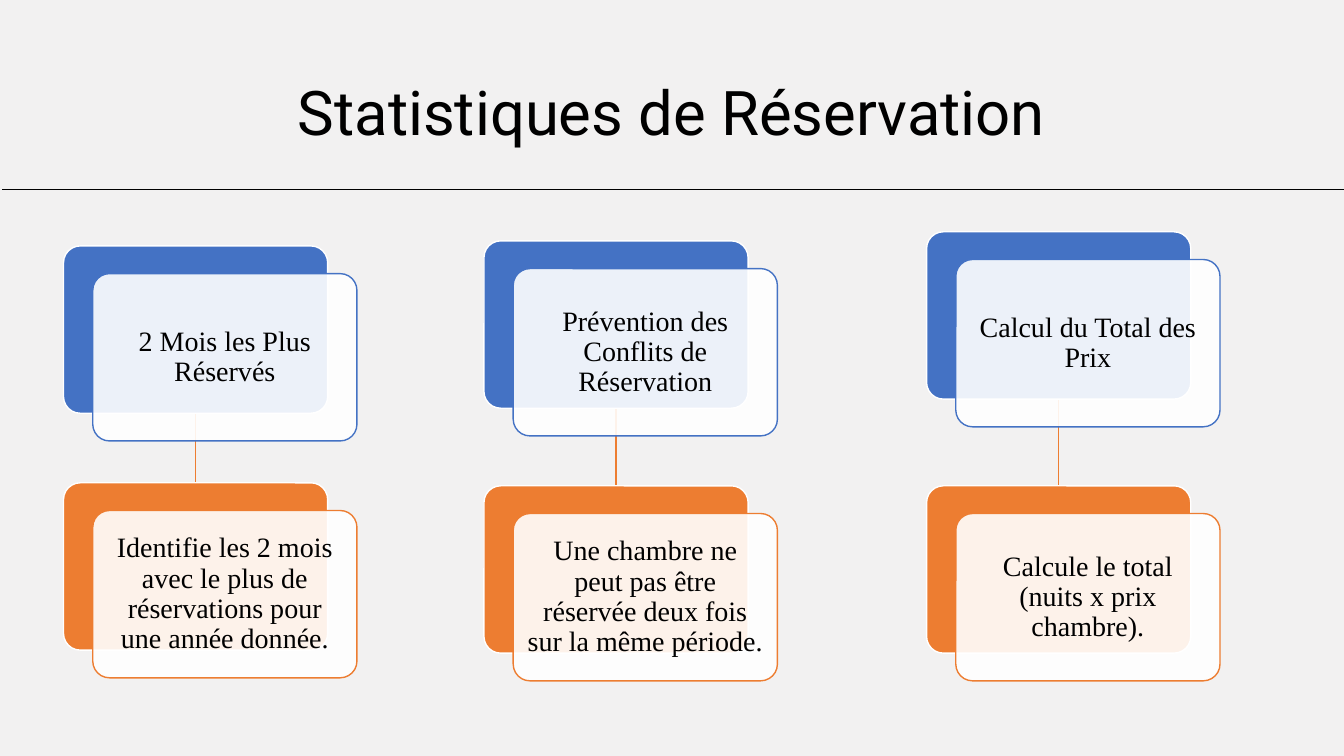
from dataclasses import dataclass

from lxml.etree import SubElement
from pptx import Presentation
from pptx.dml.color import RGBColor
from pptx.enum.shapes import MSO_CONNECTOR, MSO_SHAPE
from pptx.enum.text import MSO_ANCHOR, PP_ALIGN
from pptx.oxml.ns import qn
from pptx.util import Inches, Pt

COLORS = {
    "background": "F2F1F1",
    "black": "000000",
    "white": "FFFFFF",
    "blue": "4472C4",
    "orange": "ED7D31",
}
CARD_W, CARD_H = 2.62, 1.66
OFFSET_X, OFFSET_Y = 0.29, 0.275


@dataclass
class Column:
    left: float
    heading_top: float
    detail_top: float
    heading: str
    detail: str


COLUMNS = [
    Column(0.63, 2.44, 4.79, "2 Mois les Plus Réservés",
           "Identifie les 2 mois avec le plus de réservations pour une année donnée."),
    Column(4.8, 2.39, 4.82, "Prévention des Conflits de Réservation",
           "Une chambre ne peut pas être réservée deux fois sur la même période."),
    Column(9.19, 2.3, 4.82, "Calcul du Total des Prix",
           "Calcule le total (nuits x prix chambre)."),
]


def rgb(name: str) -> RGBColor:
    return RGBColor.from_string(COLORS[name])


def add_text(sp, text: str, *, font: str, size: float, anchor=MSO_ANCHOR.MIDDLE,
             inset_x: float = 0.08, inset_y: float = 0.08) -> None:
    tf = sp.text_frame
    tf.word_wrap = True
    tf.vertical_anchor = anchor
    tf.margin_left = tf.margin_right = Inches(inset_x)
    tf.margin_top = tf.margin_bottom = Inches(inset_y)
    p = tf.paragraphs[0]
    p.alignment = PP_ALIGN.CENTER
    p.line_spacing = 0.9
    r = p.add_run()
    r.text = text
    r.font.name = font
    r.font.size = Pt(size)
    r.font.color.rgb = rgb("black")


def add_line(s, x1: float, y1: float, x2: float, y2: float,
             color: str, width: float) -> None:
    line = s.shapes.add_connector(MSO_CONNECTOR.STRAIGHT, Inches(x1), Inches(y1),
                                  Inches(x2), Inches(y2))
    line.line.color.rgb = rgb(color)
    line.line.width = Pt(width)
    SubElement(line._element.spPr, qn("a:effectLst"))


def add_panel(s, left: float, top: float, fill: str, outline: str):
    sp = s.shapes.add_shape(MSO_SHAPE.ROUNDED_RECTANGLE, Inches(left), Inches(top),
                            Inches(CARD_W), Inches(CARD_H))
    sp.adjustments[0] = 0.1
    sp.shadow.inherit = False
    sp.fill.solid()
    sp.fill.fore_color.rgb = rgb(fill)
    sp.line.color.rgb = rgb(outline)
    sp.line.width = Pt(1)
    return sp


def add_card(s, left: float, top: float, color: str, text: str) -> None:
    add_panel(s, left, top, color, "white")
    front = add_panel(s, left + OFFSET_X, top + OFFSET_Y, "white", color)
    # Front panel at 90 % opacity
    fill = front._element.spPr.find(qn("a:solidFill"))
    SubElement(fill[0], qn("a:alpha"), val="90000")
    add_text(front, text, font="Times New Roman", size=20)


def main() -> None:
    prs = Presentation()
    prs.slide_width, prs.slide_height = Inches(13.33), Inches(7.5)
    s = prs.slides.add_slide(prs.slide_layouts[6])
    s.background.fill.solid()
    s.background.fill.fore_color.rgb = rgb("background")

    # Title and rule
    title = s.shapes.add_textbox(Inches(1.23), Inches(0.35), Inches(10.87), Inches(1.18))
    add_text(title, "Statistiques de Réservation", font="Roboto", size=44,
             anchor=MSO_ANCHOR.BOTTOM, inset_x=0.1, inset_y=0.05)
    add_line(s, 13.33, 1.88, 0.02, 1.88, "black", 0.5)

    # Heading card linked to its detail card
    for col in COLUMNS:
        middle = col.left + CARD_W / 2
        add_line(s, middle, col.heading_top + CARD_H, middle, col.detail_top, "orange", 1)
        add_card(s, col.left, col.heading_top, "blue", col.heading)
        add_card(s, col.left, col.detail_top, "orange", col.detail)

    prs.save("out.pptx")


if __name__ == "__main__":
    main()
